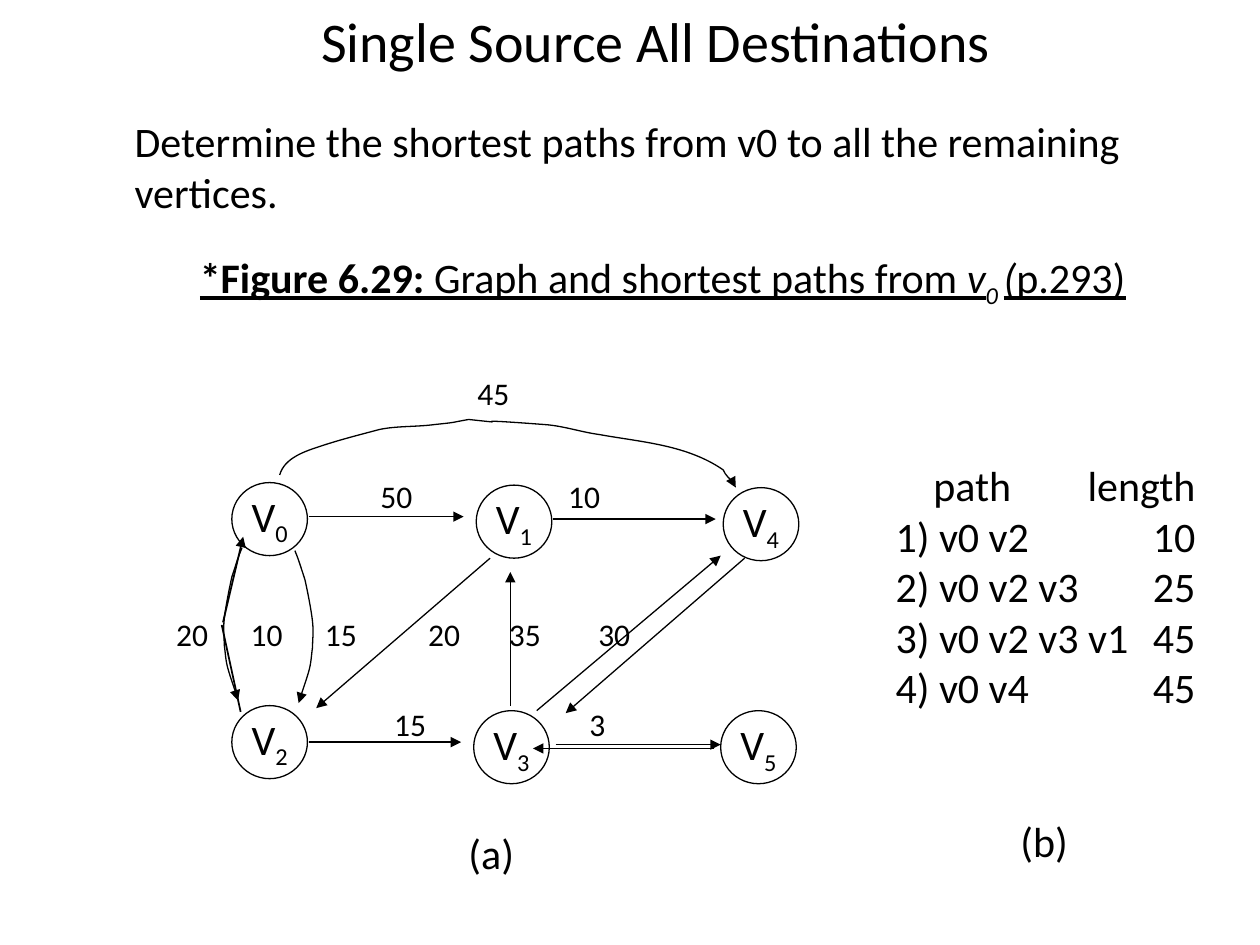
from lxml import etree
from pptx import Presentation
from pptx.dml.color import RGBColor
from pptx.enum.shapes import MSO_CONNECTOR, MSO_SHAPE
from pptx.enum.text import MSO_ANCHOR, PP_ALIGN
from pptx.oxml.ns import qn
from pptx.util import Pt

PX = 9144  # EMU in one px, at 100 px to the inch
INSET = 10  # default left margin of a text box, in px
BLACK = RGBColor(0x00, 0x00, 0x00)
WHITE = RGBColor(0xFF, 0xFF, 0xFF)
FONT = "Calibri"
LEFT, CENTER = PP_ALIGN.LEFT, PP_ALIGN.CENTER
MIDDLE = MSO_ANCHOR.MIDDLE
OVAL = MSO_SHAPE.OVAL
STRAIGHT = MSO_CONNECTOR.STRAIGHT
TITLE_ONLY = 5

# Graph parts, in px from the corner of the graph box
NODE_WIDTH, NODE_HEIGHT = 60, 58
NODES = [(60, 93), (254, 95), (60, 270), (252, 274), (450, 97), (448, 274)]
EDGES = [
    (121, 120, 244, 120), (315, 122, 444, 122),
    (121, 299, 242, 299), (317, 301, 448, 301),
    (467, 153, 325, 276), (302, 274, 448, 151),
    (281, 270, 281, 164), (265, 153, 127, 272),
]
RETURN_EDGES = [(53, 204, 69, 136), (443, 304, 299, 304)]
RETURN_TAIL = (67, 275, 52, 206)
SIDE_CURVE = [
    (0, 0), (3, 7), (5, 14), (8, 23), (10, 32), (13, 47), (14, 56), (15, 65),
    (14, 71), (14, 77), (13, 84), (13, 89), (11, 96), (9, 103), (4, 117), (3, 121),
]
TOP_CURVE = [
    (98, 87), (102, 73), (119, 68), (131, 64), (146, 59), (162, 55), (177, 51),
    (191, 48), (206, 49), (221, 47), (240, 45), (231, 46), (248, 43),
    (295, 48), (229, 41), (308, 47), (323, 48), (337, 53), (352, 55),
    (385, 61), (421, 63), (450, 83), (451, 85), (452, 87), (454, 89),
    (462, 96), (460, 89), (460, 97),
]
# Top of each row of weights, then the left edge of each number
WEIGHT_ROWS = [
    (0, [(255, "45")]),
    (82, [(178, "50"), (327, "10")]),
    (192, [(16, "20"), (75, "10"), (134, "15"), (216, "20"), (280, "35"), (351, "30")]),
    (263, [(189, "15"), (344, "3")]),
]
PATHS = [
    "\tpath\tlength",
    "1) v0 v2\t10",
    "2) v0 v2 v3\t25",
    "3) v0 v2 v3 v1\t45",
    "4) v0 v4\t45",
]


def format_run(run, size, bold=None, italic=None, underline=None, subscript=False):
    font = run.font
    font.name, font.size = FONT, Pt(size)
    font.bold, font.italic, font.underline = bold, italic, underline
    font.color.rgb = BLACK
    if subscript:
        run._r.get_or_add_rPr().set("baseline", "-25000")


def add_tabs(paragraph, stops):
    tabs = etree.SubElement(paragraph._p.get_or_add_pPr(), qn("a:tabLst"))
    for position, alignment in stops:
        etree.SubElement(tabs, qn("a:tab"), pos=str(position * PX), algn=alignment)


def add_text(slide, left, top, width, height, text, size, stops=()):
    box = slide.shapes.add_textbox(left * PX, top * PX, width * PX, height * PX)
    frame = box.text_frame
    frame.word_wrap = True
    frame.vertical_anchor = MIDDLE
    frame.text = text
    for paragraph in frame.paragraphs:
        paragraph.alignment = LEFT
        if stops:
            add_tabs(paragraph, stops)
        for run in paragraph.runs:
            format_run(run, size)


def style_line(shape, width, arrow):
    shape.line.color.rgb = BLACK
    shape.line.width = Pt(width)
    if arrow:
        line = shape._element.spPr.find(qn("a:ln"))
        etree.SubElement(line, qn("a:tailEnd"), type="triangle")


def add_edge(slide, left, top, ends, width=0.75, arrow=True):
    x1, y1, x2, y2 = ends
    edge = slide.shapes.add_connector(
        STRAIGHT, (left + x1) * PX, (top + y1) * PX, (left + x2) * PX, (top + y2) * PX)
    style_line(edge, width, arrow)
    etree.SubElement(edge._element.spPr, qn("a:effectLst"))


def add_curve(slide, left, top, points):
    """Draw Bezier segments: a start, then two controls and an end for each."""
    start, *rest = [((left + x) * PX, (top + y) * PX) for x, y in points]
    builder = slide.shapes.build_freeform(*start)
    builder.add_line_segments(rest, close=False)
    curve = builder.convert_to_shape()
    curve.shadow.inherit = False
    curve.fill.background()
    style_line(curve, 0.75, True)
    # Join every three straight segments into one cubic segment
    segments = list(curve._element.iter(qn("a:lnTo")))
    for first in range(0, len(segments), 3):
        cubic = etree.Element(qn("a:cubicBezTo"))
        segments[first].addprevious(cubic)
        for segment in segments[first:first + 3]:
            cubic.append(segment[0])
            segment.getparent().remove(segment)


def add_node(slide, left, top, number):
    node = slide.shapes.add_shape(
        OVAL, left * PX, top * PX, NODE_WIDTH * PX, NODE_HEIGHT * PX)
    node.shadow.inherit = False
    node.fill.solid()
    node.fill.fore_color.rgb = WHITE
    style_line(node, 0.75, False)
    frame = node.text_frame
    frame.word_wrap = False
    frame.vertical_anchor = MIDDLE
    frame.text = "V"
    paragraph = frame.paragraphs[0]
    paragraph.alignment = CENTER
    paragraph.add_run().text = str(number)
    for run, subscript in zip(paragraph.runs, (False, True)):
        format_run(run, 24, subscript=subscript)


def add_caption(slide, left, top, width, height):
    title = slide.shapes.title
    title.left, title.top = left * PX, top * PX
    title.width, title.height = width * PX, height * PX
    title.text_frame.vertical_anchor = MIDDLE
    paragraph = title.text_frame.paragraphs[0]
    paragraph.alignment = CENTER
    # text, bold, italic, underline, subscript
    for text, *style in [
        ("*Figure 6.29: ", True, False, True, False),
        ("Graph and shortest paths from ", False, False, True, False),
        ("v", False, True, True, False),
        ("0 ", False, True, False, True),
        ("(", False, True, True, False),
        ("p.293)", False, False, True, False),
    ]:
        run = paragraph.add_run()
        run.text = text
        format_run(run, 24, *style)


def add_graph(slide, left, top):
    for number, (x, y) in enumerate(NODES):
        add_node(slide, left + x, top + y, number)
    for ends in EDGES:
        add_edge(slide, left, top, ends)
    # Curved edges: the left one mirrors the right one
    add_curve(slide, left + 110, top + 147, SIDE_CURVE)
    add_curve(slide, left + 68, top + 145, [(-x, y) for x, y in SIDE_CURVE])
    add_curve(slide, left, top, TOP_CURVE)
    # Edge weights
    for y, weights in WEIGHT_ROWS:
        start, end = weights[0][0], weights[-1][0]
        stops = [(x - start, "l") for x, _ in weights[1:]]
        text = "\t".join(value for _, value in weights)
        add_text(slide, left + start - INSET, top + y, end - start + 50, 43, text, 18, stops)
    add_text(slide, left + 238, top + 362, 57, 50, "(a)", 24)
    # Heavier edges back
    add_edge(slide, left, top, RETURN_TAIL, 1, False)
    for ends in RETURN_EDGES:
        add_edge(slide, left, top, ends, 1)


def add_path_list(slide, left, top):
    stops = [(30, "l"), (238, "r")]
    add_text(slide, left, top, 273, 210, "\n".join(PATHS), 24, stops)
    add_text(slide, left + 99, top + 282, 60, 50, "(b)", 24)


def main():
    presentation = Presentation()
    presentation.slide_width, presentation.slide_height = 1000 * PX, 750 * PX
    slide = presentation.slides.add_slide(presentation.slide_layouts[TITLE_ONLY])
    add_caption(slide, 101, 160, 850, 125)
    add_graph(slide, 124, 290)
    add_path_list(slide, 701, 360)
    # Heading and task
    add_text(slide, 245, 0, 570, 63, "Single Source All Destinations", 32)
    add_text(slide, 97, 87, 903, 90,
             "Determine the shortest paths from v0 to all the remaining vertices.", 24)
    presentation.save("out.pptx")


if __name__ == "__main__":
    main()
